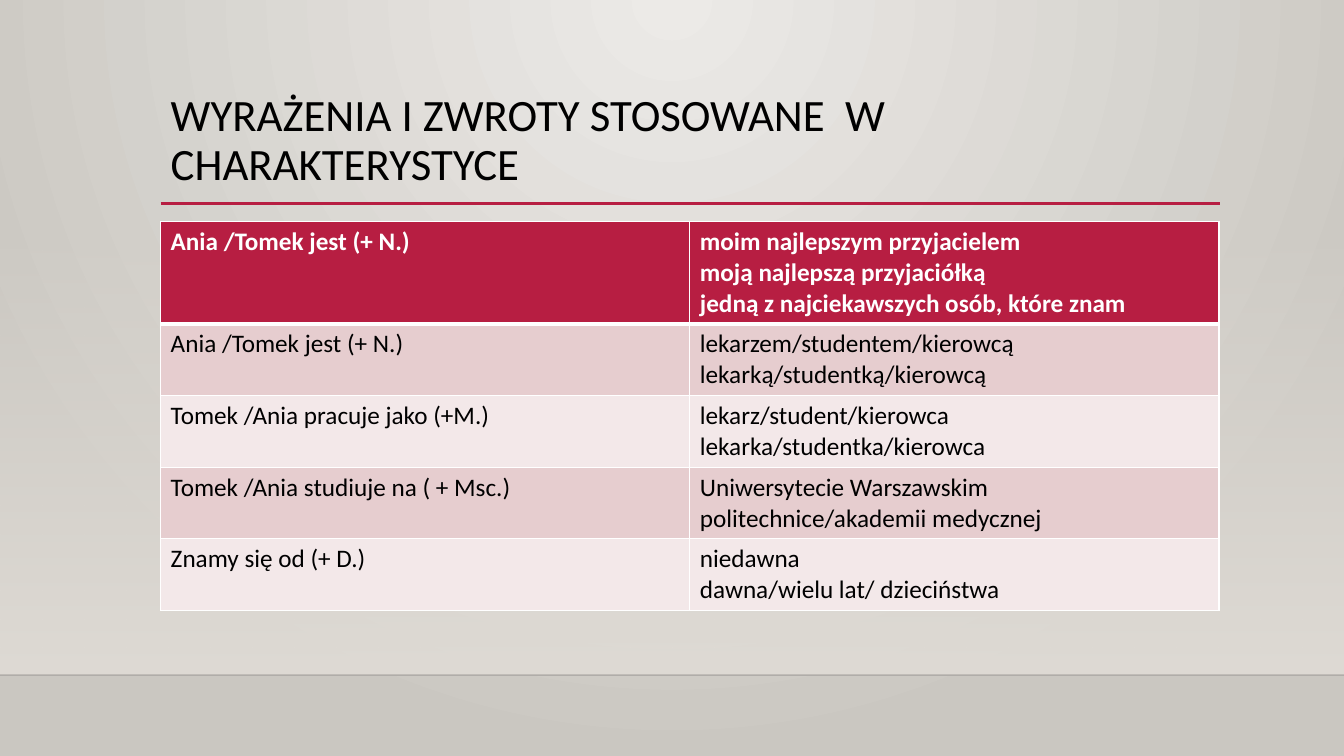
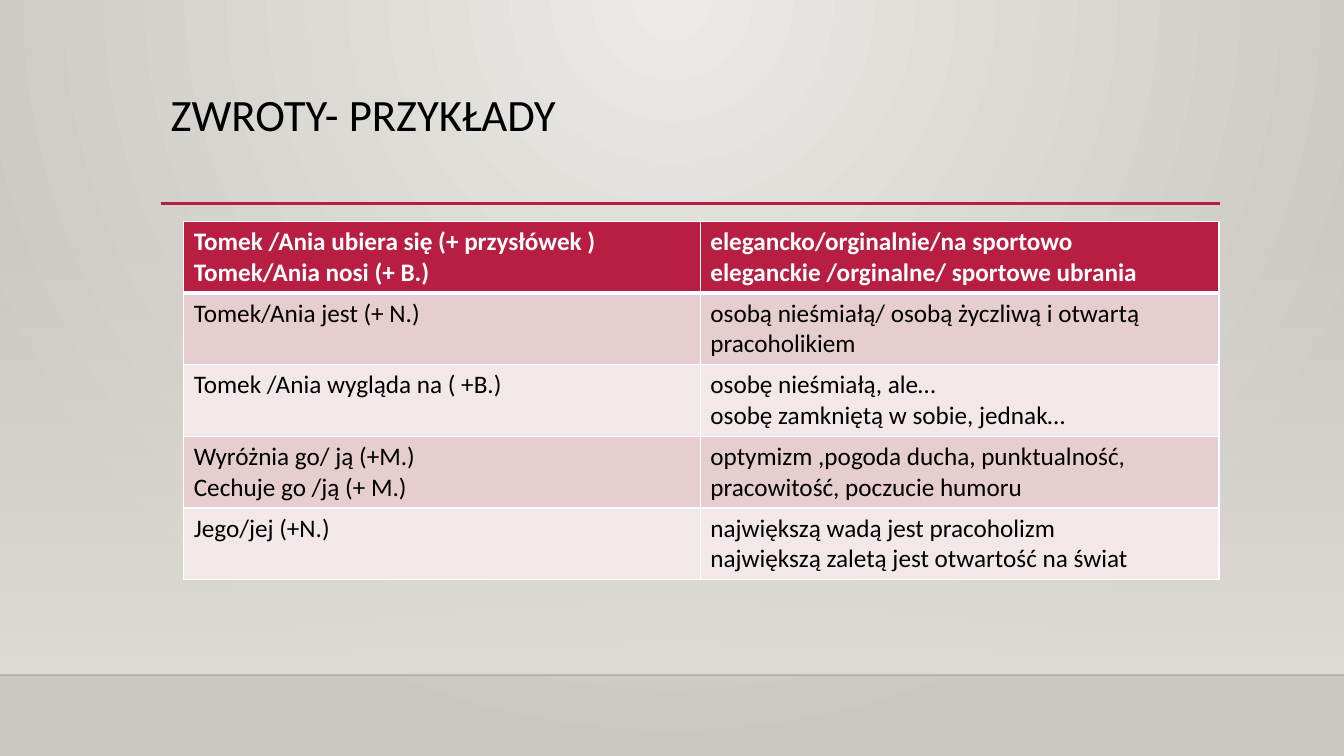
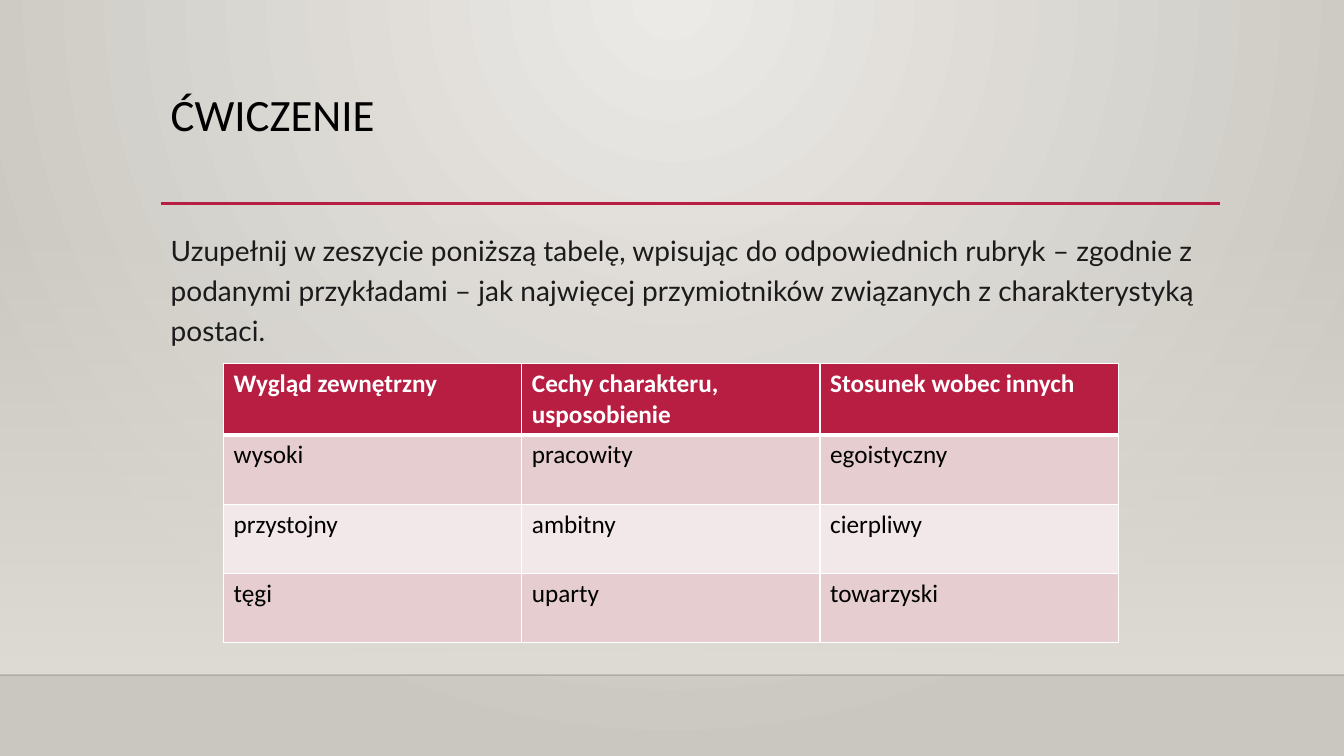
import pptx
import pptx.dml.color
import pptx.enum.shapes
import pptx.enum.text
import pptx.oxml
import pptx.oxml.ns
import pptx.util
from lxml import etree

PX = 9525
WIDTH, HEIGHT = 1280, 720
LEFT, CONTENT_W, CONTENT_TOP = 153, 1008, 211
FLOOR_Y, RULE_Y = 643, 194
COLORS = {
    "accent": "B71E42", "white": "FFFFFF", "black": "000000", "text": "1B1B1B",
    "odd": "E6CDCF", "even": "F3E8E9", "glow": "ECEAE7", "edge": "CAC7C1",
    "band": "DFDBD5", "floor": "000001",
}
TITLE = {"size": 32, "name": "Calibri", "color": "black"}
BODY = {"size": 20, "name": "Lato", "color": "text"}
HEAD = {"size": 18, "name": "Calibri", "color": "white", "bold": True}
CELL = {**HEAD, "color": "black", "bold": False}
PLAIN_FRAME = {
    "word_wrap": True,
    "auto_size": pptx.enum.text.MSO_AUTO_SIZE.NONE,
    "vertical_anchor": pptx.enum.text.MSO_ANCHOR.TOP,
}

PHRASES = [
    ["Ania /Tomek jest (+ N.)",
     "moim najlepszym przyjacielem\nmoją najlepszą przyjaciółką\n"
     "jedną z najciekawszych osób, które znam"],
    ["Ania /Tomek jest (+ N.)", "lekarzem/studentem/kierowcą\nlekarką/studentką/kierowcą"],
    ["Tomek /Ania pracuje jako (+M.)", "lekarz/student/kierowca\nlekarka/studentka/kierowca"],
    ["Tomek /Ania studiuje na ( + Msc.)",
     "Uniwersytecie Warszawskim\npolitechnice/akademii medycznej"],
    ["Znamy się od (+ D.)", "niedawna\ndawna/wielu lat/ dzieciństwa"],
]
EXAMPLES = [
    ["Tomek /Ania ubiera się (+ przysłówek )\nTomek/Ania nosi (+ B.)",
     "elegancko/orginalnie/na sportowo\neleganckie /orginalne/ sportowe ubrania"],
    ["Tomek/Ania jest (+ N.)", "osobą nieśmiałą/ osobą życzliwą i otwartą\npracoholikiem"],
    ["Tomek /Ania wygląda na ( +B.)", "osobę nieśmiałą, ale…\nosobę zamkniętą w sobie, jednak…"],
    ["Wyróżnia go/ ją (+M.)\nCechuje go /ją (+ M.)",
     "optymizm ,pogoda ducha, punktualność, pracowitość, poczucie humoru"],
    ["Jego/jej (+N.)", "największą wadą jest pracoholizm\nnajwiększą zaletą jest otwartość na świat"],
]
EXERCISE = [
    ["Wygląd zewnętrzny", "Cechy charakteru, usposobienie", "Stosunek wobec innych"],
    ["wysoki", "pracowity", "egoistyczny"],
    ["przystojny", "ambitny", "cierpliwy"],
    ["tęgi", "uparty", "towarzyski"],
]
TASK = ("Uzupełnij w zeszycie poniższą tabelę, wpisując do odpowiednich rubryk – zgodnie "
        "z podanymi przykładami – jak najwięcej przymiotników związanych z charakterystyką postaci.")


def px(*values):
    return [pptx.util.Emu(v * PX) for v in values]


def rgb(color):
    return pptx.dml.color.RGBColor.from_string(COLORS[color])


def set_attrs(obj, values):
    for name, value in values.items():
        setattr(obj, name, value)


def format_font(font, values):
    for name, value in values.items():
        if name == "color":
            font.color.rgb = rgb(value)
        else:
            setattr(font, name, pptx.util.Pt(value) if name == "size" else value)


def sub(parent, tag, **attrs):
    return etree.SubElement(parent, pptx.oxml.ns.qn(tag), attrs)


def set_gradient(fill, parent, stops, direction):
    fill.gradient()
    old = parent.find(pptx.oxml.ns.qn("a:gradFill"))
    grad = pptx.oxml.parse_xml(
        f'<a:gradFill {pptx.oxml.ns.nsdecls("a")} rotWithShape="1"><a:gsLst/>{direction}</a:gradFill>')
    for pos, color, alpha in stops:
        gs = sub(grad[0], "a:gs", pos=str(pos * 1000))
        clr = sub(gs, "a:srgbClr", val=COLORS[color])
        if alpha < 100:
            sub(clr, "a:alpha", val=str(alpha * 1000))
    parent.replace(old, grad)


def add_line(slide, x1, x2, y, color, width, alpha=100):
    cxn = slide.shapes.add_connector(
        pptx.enum.shapes.MSO_CONNECTOR.STRAIGHT, *px(x1, y, x2, y))
    cxn.line.width = pptx.util.Pt(width)
    cxn.line.color.rgb = rgb(color)
    if alpha < 100:
        clr = cxn._element.spPr.find(".//" + pptx.oxml.ns.qn("a:srgbClr"))
        sub(clr, "a:alpha", val=str(alpha * 1000))
    sub(cxn._element.spPr, "a:effectLst")
    return cxn


def add_band(slide):
    sp = slide.shapes.add_shape(
        pptx.enum.shapes.MSO_SHAPE.RECTANGLE, *px(0, 212, WIDTH, FLOOR_Y - 212))
    sp.shadow.inherit = False
    sp.line.fill.background()
    set_gradient(sp.fill, sp._element.spPr, [(0, "band", 0), (100, "band", 100)],
                 '<a:lin ang="5400000" scaled="0"/>')
    return sp


def style_master(prs, slide):
    master = prs.slide_master
    fill = master.background.fill
    set_gradient(fill, master._element.cSld.bg.bgPr, [(0, "glow", 100), (100, "edge", 100)],
                 '<a:path path="circle"><a:fillToRect l="43000" t="0" r="43000" b="100000"/></a:path>')
    decor = [
        add_band(slide),
        add_line(slide, 0, WIDTH, FLOOR_Y, "floor", 1, 20),
        add_line(slide, LEFT, LEFT + CONTENT_W + 1, RULE_Y, "accent", 2.5),
    ]
    for i, shape in enumerate(decor):
        el = shape._element
        el.xpath(".//p:cNvPr")[0].set("id", str(100 + i))
        master.shapes._spTree.insert(2 + i, el)


def fill_placeholder(ph, text, box, spacing, font):
    set_attrs(ph, dict(zip(("left", "top", "width", "height"), px(*box))))
    tf = ph.text_frame
    tf.text = text
    set_attrs(tf, PLAIN_FRAME)
    p = tf.paragraphs[0]
    pPr = p._p.get_or_add_pPr()
    set_attrs(p, {"alignment": pptx.enum.text.PP_ALIGN.LEFT, "line_spacing": spacing,
                  "space_before": pptx.util.Pt(0)})
    pPr.set("marL", "0")
    pPr.set("indent", "0")
    sub(pPr, "a:buNone")
    format_font(p.runs[0].font, font)


def add_slide(prs, layout, title):
    slide = prs.slides.add_slide(prs.slide_layouts[layout])
    fill_placeholder(slide.shapes.title, title, (LEFT, 84, CONTENT_W, 110), 0.9, TITLE)
    return slide


def format_cell(cell, row):
    tcPr = cell._tc.get_or_add_tcPr()
    thick = {0: "a:lnB", 1: "a:lnT"}.get(row)
    for side in ("a:lnL", "a:lnR", "a:lnT", "a:lnB"):
        ln = sub(tcPr, side, w=str(pptx.util.Pt(3 if side == thick else 1)))
        sub(sub(ln, "a:solidFill"), "a:srgbClr", val=COLORS["white"])
    cell.fill.solid()
    cell.fill.fore_color.rgb = rgb("accent" if row == 0 else "odd" if row % 2 else "even")
    for p in cell.text_frame.paragraphs:
        for r in p.runs:
            format_font(r.font, CELL if row else HEAD)


def add_table(slide, data, left, top, cols, heights):
    frame = slide.shapes.add_table(
        len(data), len(cols), *px(left, top, sum(cols), sum(heights)))
    table = frame.table
    for col, width in zip(table.columns, px(*cols)):
        col.width = width
    for row, height in zip(table.rows, px(*heights)):
        row.height = height
    for i, texts in enumerate(data):
        for j, text in enumerate(texts):
            cell = table.cell(i, j)
            cell.text = text
            format_cell(cell, i)


def main():
    prs = pptx.Presentation()
    prs.slide_width, prs.slide_height = px(WIDTH, HEIGHT)

    slide = add_slide(prs, 5, "WYRAŻENIA I ZWROTY STOSOWANE  W CHARAKTERYSTYCE")
    style_master(prs, slide)
    add_table(slide, PHRASES, LEFT, CONTENT_TOP, [504, 504], [96] + [67] * 4)

    slide = add_slide(prs, 5, "ZWROTY- PRZYKŁADY")
    add_table(slide, EXAMPLES, 175, CONTENT_TOP, [492, 494], [67] * 5)

    slide = add_slide(prs, 1, "ĆWICZENIE")
    fill_placeholder(slide.placeholders[1], TASK, (LEFT, CONTENT_TOP, CONTENT_W, 362), 1.2, BODY)
    add_table(slide, EXERCISE, 213, 346, [284] * 3, [66] * 4)

    prs.save("out.pptx")


if __name__ == "__main__":
    main()
